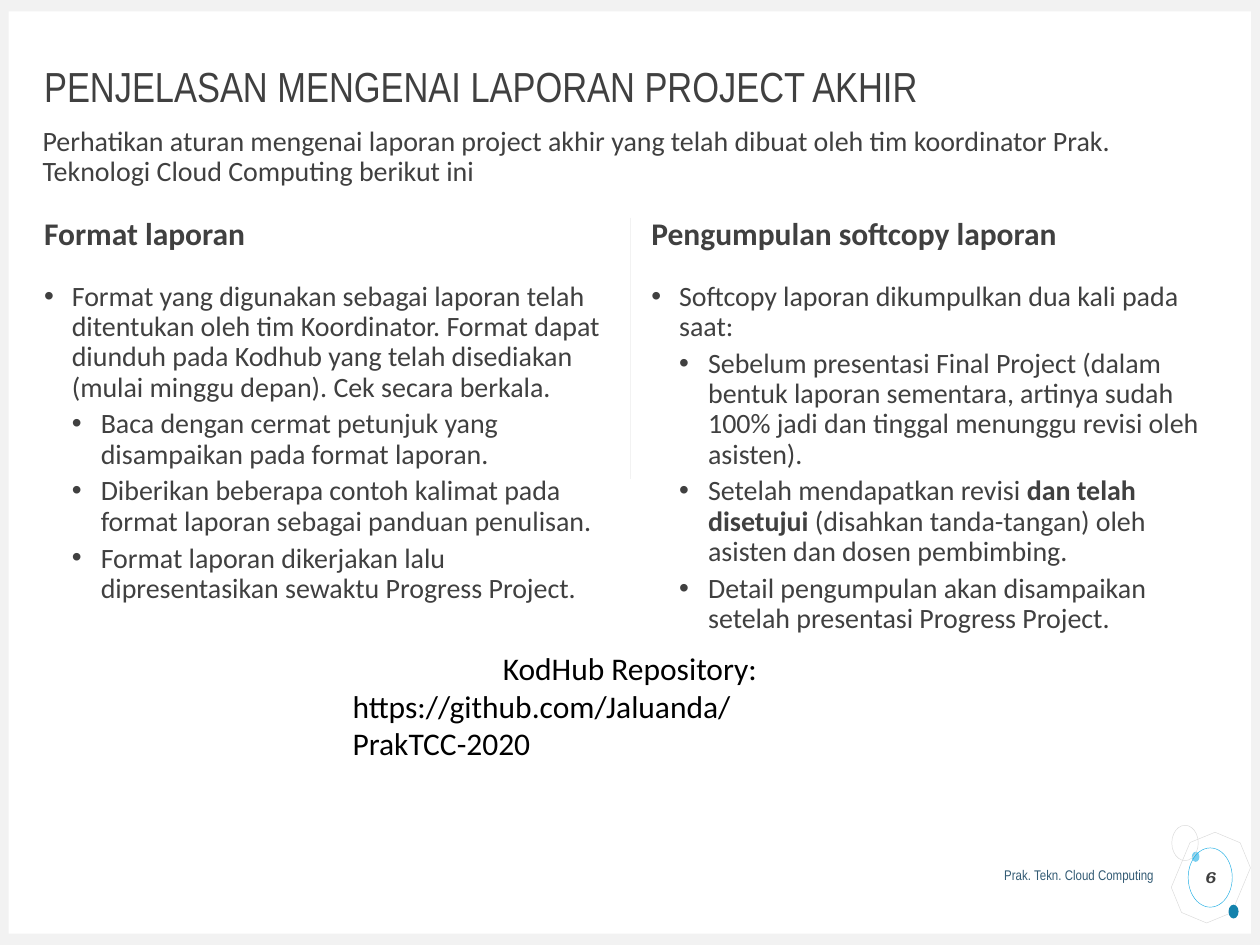
from lxml import etree
from pptx import Presentation
from pptx.dml.color import RGBColor
from pptx.enum import shapes, text
from pptx.oxml.ns import qn
from pptx.util import Inches, Pt

INK = RGBColor(0x40, 0x40, 0x40)
BLACK = RGBColor(0, 0, 0)
SLATE = RGBColor(0x33, 0x5B, 0x74)
PALE = RGBColor(0xF2, 0xF2, 0xF2)
GREY = RGBColor(0xD9, 0xD9, 0xD9)
SKY = RGBColor(0x77, 0xCE, 0xEF)
CYAN = RGBColor(0x1C, 0xAD, 0xE4)
BLUE = RGBColor(0x14, 0x82, 0xAC)

LEFT, CENTER, RIGHT = text.PP_ALIGN.LEFT, text.PP_ALIGN.CENTER, text.PP_ALIGN.RIGHT
SHAPE = shapes.MSO_SHAPE

TITLE = dict(name="Arial Narrow", size=Pt(24))
HEADING = dict(name="Calibri", size=Pt(18), bold=True)
BODY = dict(name="Calibri", size=Pt(16))
LINK = dict(name="Calibri", size=Pt(18))
FOOTER = dict(name="Arial Narrow", size=Pt(8))
NUMBER = dict(name="TeX Gyre Bonum", size=Pt(9), bold=True, italic=True)

COLUMNS = [
    (0.35, "Format laporan", [
        (0, ["Format yang digunakan sebagai laporan telah ditentukan oleh tim Koordinator. "
             "Format dapat diunduh pada Kodhub yang telah disediakan (mulai minggu depan). "
             "Cek secara berkala."]),
        (1, ["Baca dengan cermat petunjuk yang disampaikan pada format laporan."]),
        (1, ["Diberikan beberapa contoh kalimat pada format laporan sebagai panduan penulisan."]),
        (1, ["Format laporan dikerjakan lalu dipresentasikan sewaktu Progress Project."]),
    ]),
    (5.17, "Pengumpulan softcopy laporan", [
        (0, ["Softcopy laporan dikumpulkan dua kali pada saat:"]),
        (1, ["Sebelum presentasi Final Project (dalam bentuk laporan sementara, artinya sudah "
             "100% jadi dan tinggal menunggu revisi oleh asisten)."]),
        (1, ["Setelah mendapatkan revisi ", "dan telah disetujui ",
             "(disahkan tanda-tangan) oleh asisten dan dosen pembimbing."]),
        (1, ["Detail pengumpulan akan disampaikan setelah presentasi Progress Project."]),
    ]),
]


def place(shape, box):
    shape.left, shape.top, shape.width, shape.height = map(Inches, box)


def set_frame(frame, inset=0, anchor=text.MSO_ANCHOR.TOP):
    frame.word_wrap = True
    frame.auto_size = text.MSO_AUTO_SIZE.NONE
    frame.vertical_anchor = anchor
    frame.margin_left = frame.margin_right = Inches(inset)
    frame.margin_top = frame.margin_bottom = Inches(inset / 2)


def add_span(para, words, style, color=INK):
    span = para.add_run()
    span.text = words
    for key, value in style.items():
        setattr(span.font, key, value)
    span.font.color.rgb = color


def write(para, words, style, color=INK, align=LEFT, spacing=1.0):
    para.alignment, para.line_spacing = align, spacing
    add_span(para, words, style, color)


def add_text(slide, box, words, style, inset=0, **layout):
    frame = slide.shapes.add_textbox(*map(Inches, box)).text_frame
    set_frame(frame, inset)
    write(frame.paragraphs[0], words, style, **layout)
    return frame


def add_bullets(slide, box, items):
    """Write (level, spans) items; every second span of an item is bold."""
    frame = slide.shapes.add_textbox(*map(Inches, box)).text_frame
    set_frame(frame)
    for index, (level, spans) in enumerate(items):
        para = frame.add_paragraph() if index else frame.paragraphs[0]
        para.level, para.line_spacing = level, 0.9
        if index:
            para.space_before = Pt(3.8)
        props = para._p.get_or_add_pPr()
        props.set("marL", str(Inches((0.22, 0.45)[level])))
        props.set("indent", str(-Inches((0.22, 0.23)[level])))
        etree.SubElement(props, qn("a:buFont")).set("typeface", "Arial")
        etree.SubElement(props, qn("a:buChar")).set("char", "•")
        for position, words in enumerate(spans):
            add_span(para, words, {**BODY, "bold": position % 2 == 1})


def add_figure(slide, kind, box, fill=None, line=None, rotation=0):
    figure = slide.shapes.add_shape(kind, *map(Inches, box))
    figure.shadow.inherit = False
    figure.rotation = rotation
    if fill is None:
        figure.fill.background()
    else:
        figure.fill.solid()
        figure.fill.fore_color.rgb = fill
    if line is None:
        figure.line.fill.background()
    else:
        figure.line.color.rgb = line
        figure.line.width = Pt(0.25)
    return figure


def add_divider(slide):
    divider = slide.shapes.add_connector(
        shapes.MSO_CONNECTOR.STRAIGHT, *map(Inches, (5, 1.73, 5, 3.8)))
    divider.line.color.rgb = PALE
    divider.line.width = Pt(0.5)
    etree.SubElement(divider._element.spPr, qn("a:effectLst"))


def add_decoration(slide):
    add_figure(slide, SHAPE.OCTAGON, (9.35, 6.62, 0.52, 0.69), line=GREY, rotation=22.7)
    add_figure(slide, SHAPE.OVAL, (9.46, 6.76, 0.06, 0.08), fill=SKY)
    add_figure(slide, SHAPE.OVAL, (9.75, 7.18, 0.08, 0.11), fill=BLUE)
    add_figure(slide, SHAPE.OVAL, (9.3, 6.55, 0.21, 0.28), line=GREY)
    for edge in ((0, 7.41, 10, 0.09), (0, 0, 10, 0.09), (0, 0, 0.07, 7.5), (9.93, 0, 0.07, 7.5)):
        add_figure(slide, SHAPE.RECTANGLE, edge, fill=PALE)


def add_page_number(slide):
    badge = add_figure(slide, SHAPE.OVAL, (9.43, 6.73, 0.35, 0.47), line=CYAN)
    set_frame(badge.text_frame, anchor=text.MSO_ANCHOR.MIDDLE)
    write(badge.text_frame.paragraphs[0], "6", NUMBER, align=CENTER)


def main():
    deck = Presentation()
    deck.slide_width, deck.slide_height = Inches(10), Inches(7.5)
    slide = deck.slides.add_slide(deck.slide_layouts[5])
    add_decoration(slide)
    add_text(slide, (7.1, 6.88, 2.06, 0.2), "Prak. Tekn. Cloud Computing", FOOTER,
             color=SLATE, align=RIGHT)

    title = slide.shapes.title
    place(title, (0.35, 0.47, 9.3, 0.47))
    set_frame(title.text_frame, anchor=text.MSO_ANCHOR.MIDDLE)
    write(title.text_frame.paragraphs[0], "PENJELASAN MENGENAI LAPORAN PROJECT AKHIR",
          TITLE, spacing=0.9)

    for left, heading, items in COLUMNS:
        add_text(slide, (left, 1.73, 4.49, 0.3), heading, HEADING, spacing=0.9)
        add_bullets(slide, (left, 2.24, 4.49, 3.42), items)
    add_divider(slide)
    add_page_number(slide)

    repository = add_text(slide, (2.7, 5.1, 4.6, 0.71), "KodHub Repository:", LINK,
                          inset=0.1, color=BLACK, align=CENTER)
    write(repository.add_paragraph(), "https://github.com/Jaluanda/PrakTCC-2020", LINK, BLACK)
    add_text(slide, (0.24, 0.96, 9.3, 0.57),
             "Perhatikan aturan mengenai laporan project akhir yang telah dibuat oleh tim "
             "koordinator Prak. Teknologi Cloud Computing berikut ini", BODY,
             inset=0.1, spacing=0.9)
    deck.save("out.pptx")


if __name__ == "__main__":
    main()
